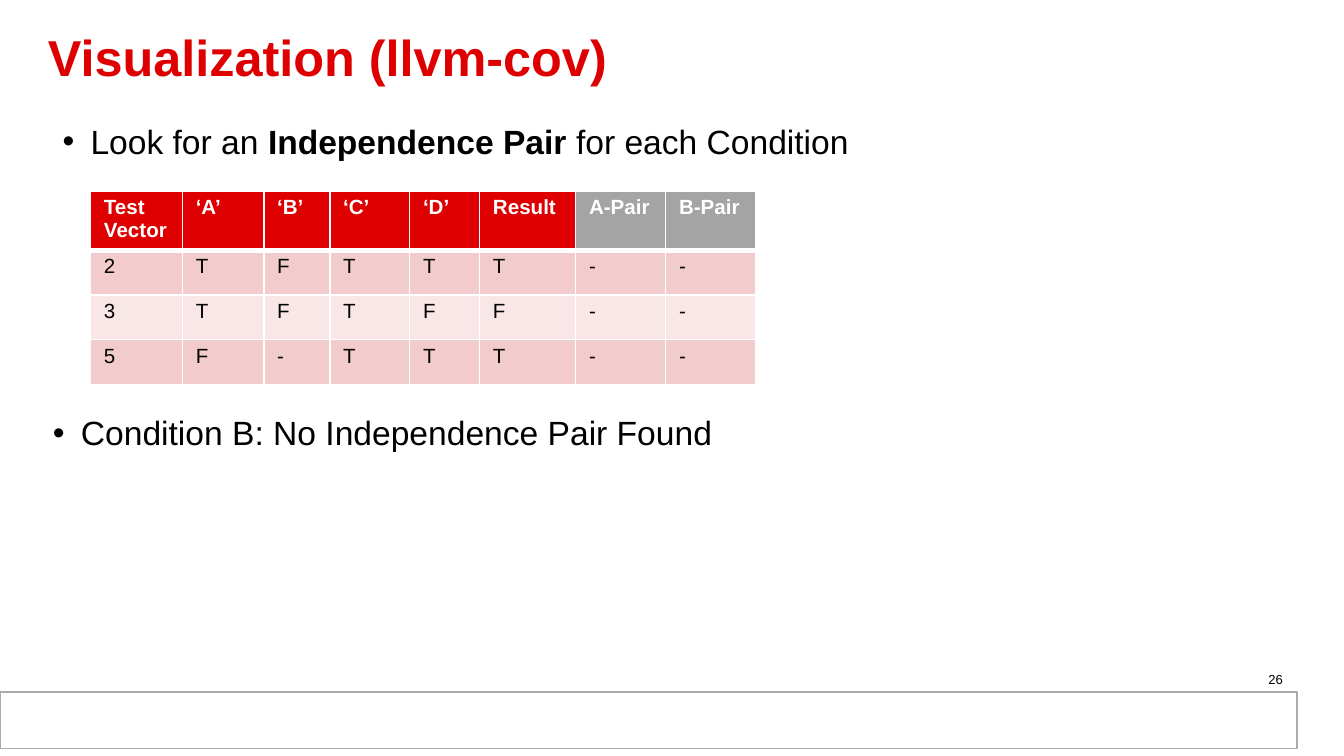
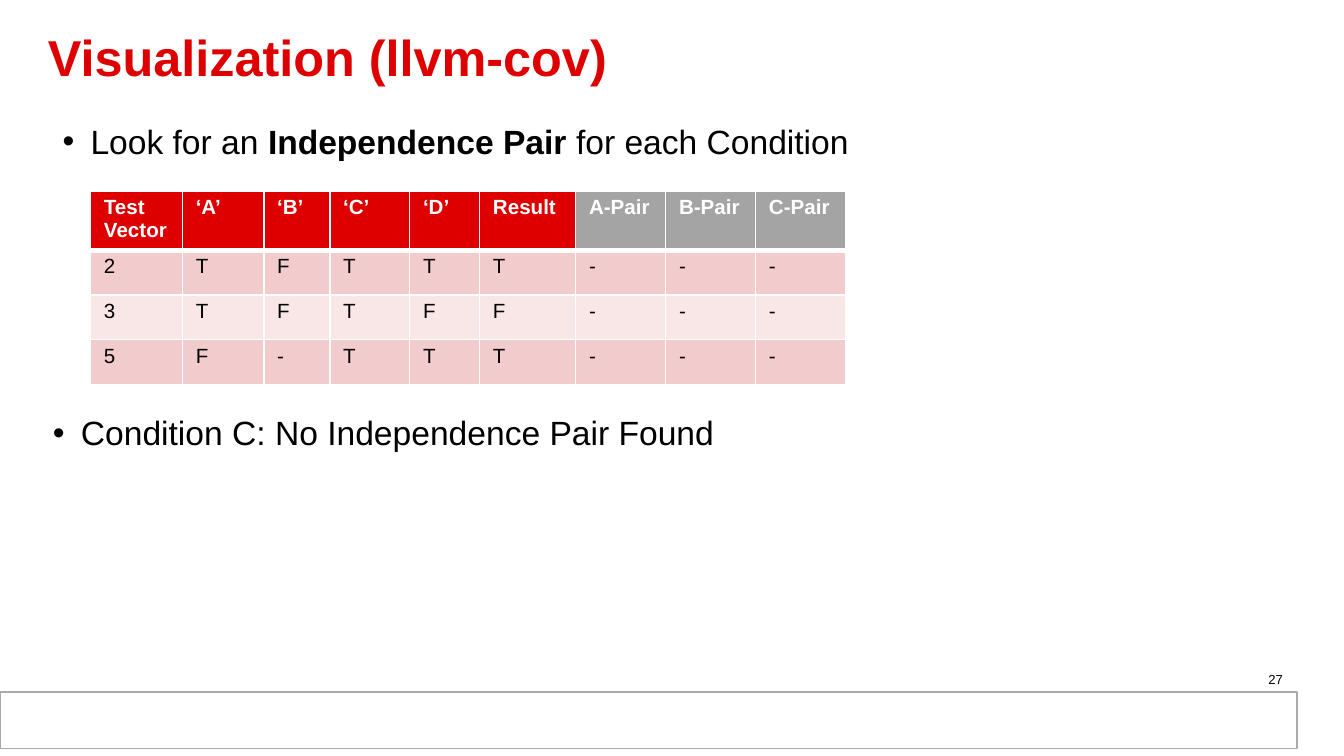
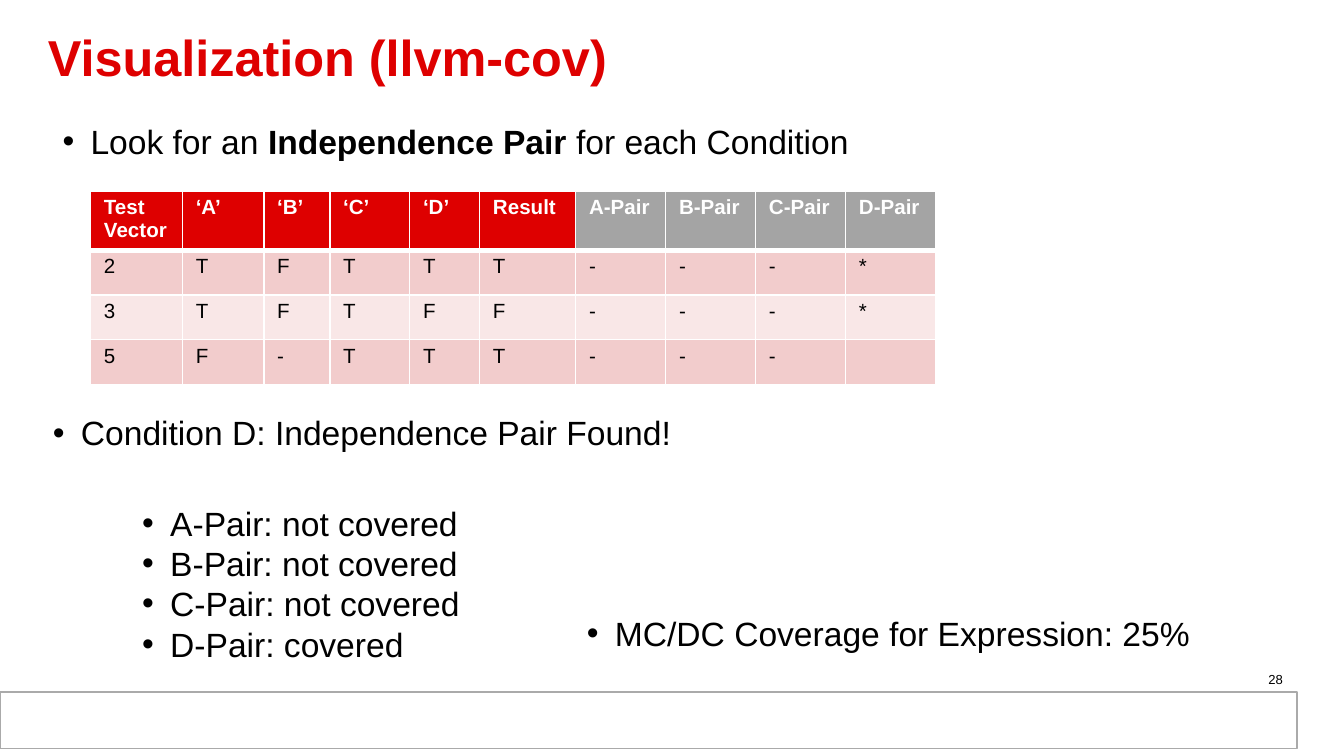
from lxml import etree
from pptx import Presentation
from pptx.dml.color import RGBColor
from pptx.enum import shapes, text
from pptx.oxml import ns
from pptx.util import Pt

COLORS = {
    "red": "DE0000", "gray": "A4A4A4", "outline": "AAAAAA", "white": "FFFFFF",
    "black": "000000", "dark_row": "F2CCCC", "light_row": "F9E7E7",
}
FONT = "Arial"
LIST_SIZE = 18
CELL_SIZE = 11
INSETS = (5.4, 2.7)
DEFAULT_INSETS = (7.2, 3.6)

TITLE_BOX = (20.2, 8.6, 666, 48.2)
BODY_BOX = (28.1, 61.9, 666.7, 77)
FINDING_BOX = (23, 218.2, 666.7, 77)
NUMBER_BOX = (524.9, 357.1, 167.8, 12.2)
SUMMARY_BOX = (69.1, 265.7, 193, 94.3)
COVERAGE_BOX = (307.4, 324.7, 340.6, 28.8)
FOOTER_BOX = (0, 370.8, 694.8, 30.2)

TABLE_ORIGIN = (48.5, 102.2)
VECTOR_WIDTHS = [49.2, 43.6, 35.4, 42.8, 37.5, 51.5]
PAIR_WIDTH = 48.2
HEADER_HEIGHT = 17.3
ROW_HEIGHT = 24

VECTOR_HEADINGS = ["Test Vector", "‘A’", "‘B’", "‘C’", "‘D’", "Result"]
VECTOR_ROWS = ["2TFTTT", "3TFTFF", "5F-TTT"]
PAIR_MARKS = {"A": "---", "B": "---", "C": "---", "D": ["*", "*", ""]}

# Slide number, conditions examined so far, finding
STEPS = [
    (26, "AB", "Condition B: No Independence Pair Found"),
    (27, "ABC", "Condition C: No Independence Pair Found"),
    (28, "ABCD", "Condition D: Independence Pair Found!"),
]


def color(name):
    return RGBColor.from_string(COLORS[name])


def lengths(box):
    return [Pt(value) for value in box]


def format_runs(paragraph, size, color_name="black", bold=False):
    for run in paragraph.runs:
        run.font.name = FONT
        run.font.size = Pt(size)
        run.font.bold = bold
        run.font.color.rgb = color(color_name)


def set_insets(frame, insets):
    frame.margin_left = frame.margin_right = Pt(insets[0])
    frame.margin_top = frame.margin_bottom = Pt(insets[1])


def place(shape, box):
    shape.left, shape.top, shape.width, shape.height = lengths(box)


def add_bullet(paragraph, space_before):
    paragraph.space_before = Pt(space_before)
    properties = paragraph._p.get_or_add_pPr()
    properties.set("marL", str(Pt(15)))
    properties.set("indent", str(Pt(-15)))
    font = etree.SubElement(properties, ns.qn("a:buFont"))
    font.set("typeface", FONT)
    etree.SubElement(properties, ns.qn("a:buChar")).set("char", "•")


def add_text_box(slide, box, content, insets):
    frame = slide.shapes.add_textbox(*lengths(box)).text_frame
    frame.word_wrap = True
    set_insets(frame, insets)
    frame.text = content
    return frame


def add_list(slide, box, items, insets=DEFAULT_INSETS, space_before=0):
    frame = add_text_box(slide, box, "\n".join(items), insets)
    for paragraph in frame.paragraphs:
        format_runs(paragraph, LIST_SIZE)
        add_bullet(paragraph, space_before)
    return frame


def fit_to_text(frame):
    frame.word_wrap = False
    frame.auto_size = text.MSO_AUTO_SIZE.SHAPE_TO_FIT_TEXT


def move_footer_to_master(slide, master, box):
    """Draw the footer bands on a slide, then hand them to the master."""
    left, top, width, height = box
    inner_box = (left + 3.6, top + 2.9, width - 6.5, height - 2.9)
    for band_box, outline in ((inner_box, None), (box, "outline")):
        band = slide.shapes.add_shape(shapes.MSO_SHAPE.RECTANGLE, *lengths(band_box))
        band.shadow.inherit = False
        band.fill.solid()
        band.fill.fore_color.rgb = color("white")
        if outline:
            band.line.color.rgb = color(outline)
            band.line.width = Pt(0.75)
        else:
            band.line.fill.background()
        master.shapes.element.append(band.element)


def fill_title(slide, box):
    title = slide.shapes.title
    place(title, box)
    frame = title.text_frame
    frame.text = "Visualization (llvm-cov)"
    frame.auto_size = text.MSO_AUTO_SIZE.NONE
    frame.vertical_anchor = text.MSO_ANCHOR.MIDDLE
    set_insets(frame, INSETS)
    paragraph = frame.paragraphs[0]
    paragraph.alignment = text.PP_ALIGN.LEFT
    paragraph.line_spacing = 0.85
    format_runs(paragraph, 27, "red", bold=True)


def fill_body(slide, box):
    body = slide.placeholders[1]
    place(body, box)
    frame = body.text_frame
    frame.auto_size = text.MSO_AUTO_SIZE.NONE
    set_insets(frame, INSETS)
    paragraph = frame.paragraphs[0]
    for part in ("Look for an ", "Independence Pair", " for each Condition"):
        paragraph.add_run().text = part
    format_runs(paragraph, LIST_SIZE)
    paragraph.runs[1].font.bold = True
    add_bullet(paragraph, 6.7)


def add_slide_number(slide, box, number):
    paragraph = add_text_box(slide, box, str(number), INSETS).paragraphs[0]
    paragraph.alignment = text.PP_ALIGN.RIGHT
    format_runs(paragraph, 7)


def set_borders(cell, widths):
    properties = cell._tc.get_or_add_tcPr()
    for side, width in widths.items():
        line = etree.SubElement(properties, ns.qn(f"a:ln{side}"), w=str(Pt(width)))
        fill = etree.SubElement(line, ns.qn("a:solidFill"))
        etree.SubElement(fill, ns.qn("a:srgbClr"), val=COLORS["white"])


def format_cell(cell, content, fill_name, is_header):
    cell.text = content
    cell.margin_top = cell.margin_bottom = Pt(2.7)
    borders = {"L": 1, "R": 1, "T": 1, "B": 3} if is_header else {"L": 1, "R": 1, "B": 1}
    set_borders(cell, borders)
    cell.fill.solid()
    cell.fill.fore_color.rgb = color(fill_name)
    paragraph = cell.text_frame.paragraphs[0]
    format_runs(paragraph, CELL_SIZE, "white" if is_header else "black", is_header)
    if not content:
        # Keeps an empty cell from growing its row
        etree.SubElement(paragraph._p, ns.qn("a:endParaRPr"), sz=str(CELL_SIZE * 100))


def add_pair_table(slide, origin, conditions):
    headings = VECTOR_HEADINGS + [f"{condition}-Pair" for condition in conditions]
    rows = [headings]
    for index, vector in enumerate(VECTOR_ROWS):
        rows.append(list(vector) + [PAIR_MARKS[name][index] for name in conditions])
    widths = VECTOR_WIDTHS + [PAIR_WIDTH] * len(conditions)
    heights = [HEADER_HEIGHT] + [ROW_HEIGHT] * len(VECTOR_ROWS)
    box = (*origin, sum(widths), sum(heights))
    table = slide.shapes.add_table(len(rows), len(widths), *lengths(box)).table
    for column, width in zip(table.columns, widths):
        column.width = Pt(width)
    for row, height in zip(table.rows, heights):
        row.height = Pt(height)
    for row_index, row in enumerate(rows):
        for column_index, content in enumerate(row):
            if row_index == 0:
                fill_name = "red" if column_index < len(VECTOR_HEADINGS) else "gray"
            else:
                fill_name = "dark_row" if row_index % 2 else "light_row"
            cell = table.cell(row_index, column_index)
            format_cell(cell, content, fill_name, row_index == 0)


def add_step_slide(presentation, number, conditions, finding):
    slide = presentation.slides.add_slide(presentation.slide_layouts[1])
    fill_title(slide, TITLE_BOX)
    fill_body(slide, BODY_BOX)
    add_slide_number(slide, NUMBER_BOX, number)
    add_pair_table(slide, TABLE_ORIGIN, conditions)
    add_list(slide, FINDING_BOX, [finding], INSETS, 6.7)
    return slide


def add_summary(slide):
    results = [
        f"{name}-Pair: {'covered' if '*' in marks else 'not covered'}"
        for name, marks in PAIR_MARKS.items()
    ]
    fit_to_text(add_list(slide, SUMMARY_BOX, results))
    fit_to_text(add_list(slide, COVERAGE_BOX, ["MC/DC Coverage for Expression: 25%"]))


def main():
    presentation = Presentation()
    presentation.slide_width, presentation.slide_height = Pt(720), Pt(405)
    slides = [add_step_slide(presentation, *step) for step in STEPS]
    move_footer_to_master(slides[0], presentation.slide_master, FOOTER_BOX)
    add_summary(slides[-1])
    presentation.save("out.pptx")


if __name__ == "__main__":
    main()
